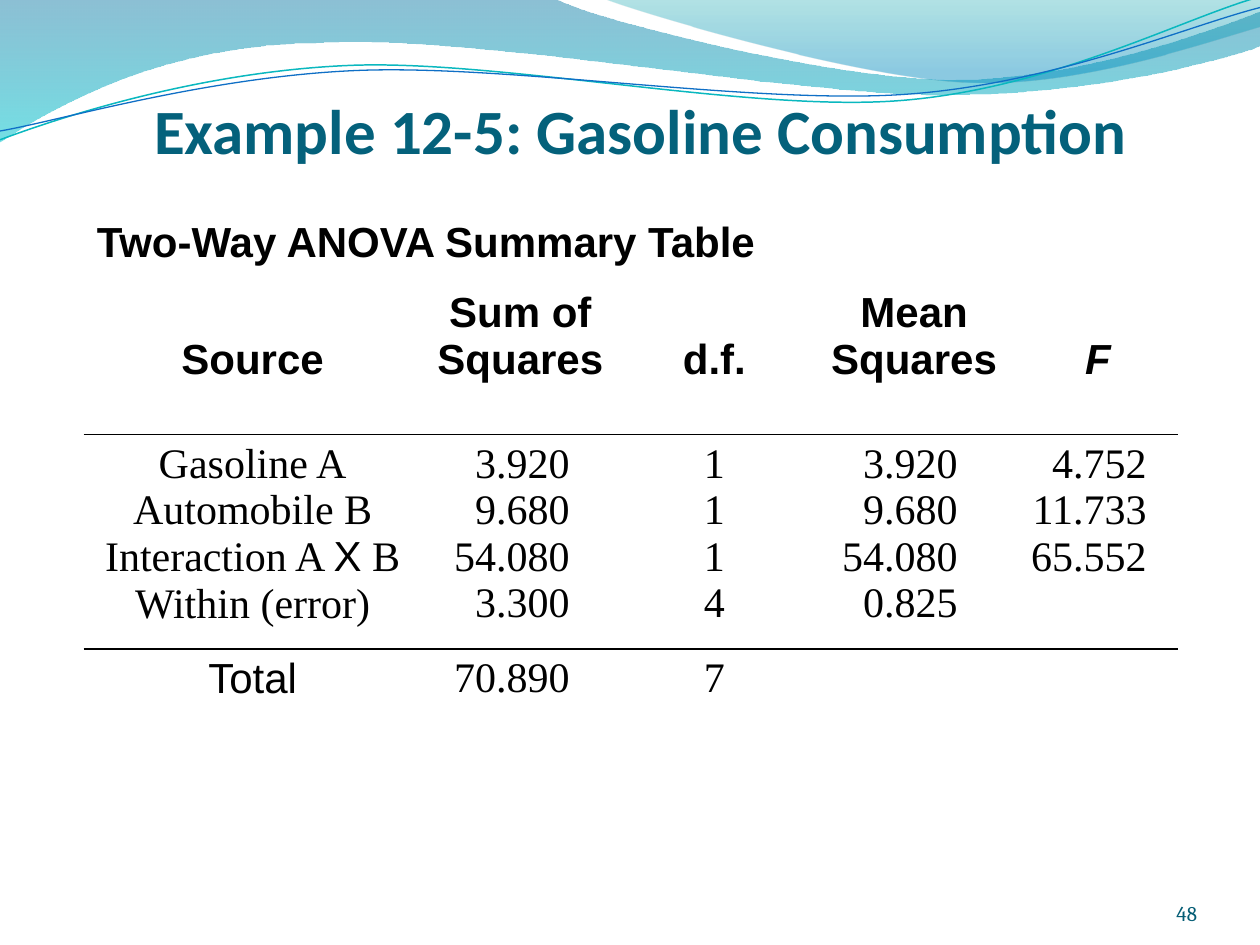
from lxml import etree
from pptx import Presentation
from pptx.dml.color import RGBColor
from pptx.enum import text
from pptx.oxml import ns
from pptx.util import Inches, Pt

BLACK = RGBColor(0, 0, 0)
WHITE = RGBColor(0xFF, 0xFF, 0xFF)
TITLE_TEAL = RGBColor(0x04, 0x61, 0x7B)
NUMBER_TEAL = RGBColor(0x04, 0x5D, 0x75)
LINE_TEAL = RGBColor(0x0A, 0xB8, 0xBF)
LINE_BLUE = RGBColor(0x0F, 0x6F, 0xC6)
DEEP_BLUE = RGBColor(0x00, 0x74, 0xA1)
CYAN = RGBColor(0x00, 0xC6, 0xCF)
SEA_GREEN = RGBColor(0x00, 0xA1, 0xA9)
SKY_BLUE = RGBColor(0x00, 0x8B, 0xBF)

LEFT, CENTER, RIGHT = (text.PP_ALIGN.LEFT, text.PP_ALIGN.CENTER,
                       text.PP_ALIGN.RIGHT)
UNITS_PER_INCH = 100

presentation = Presentation()
presentation.slide_width, presentation.slide_height = Inches(10), Inches(7.5)
slide = presentation.slides.add_slide(presentation.slide_layouts[6])


def add_wave(start, segments, closed):
    """Draw straight (2 numbers) and cubic Bézier (6 numbers) segments."""
    points = [(round(x * UNITS_PER_INCH), round(y * UNITS_PER_INCH))
              for segment in [start, *segments]
              for x, y in zip(segment[::2], segment[1::2])]
    builder = slide.shapes.build_freeform(*points[0],
                                          scale=Inches(1) / UNITS_PER_INCH)
    builder.add_line_segments(points[1:], close=closed)
    wave = builder.convert_to_shape()
    wave.shadow.inherit = False
    # Merge each run of three line steps of a curve into one Bézier step
    steps = iter(list(wave._element.iter(ns.qn("a:lnTo"))))
    for segment in segments:
        step = next(steps)
        if len(segment) == 6:
            step.tag = ns.qn("a:cubicBezTo")
            for extra in (next(steps), next(steps)):
                step.append(extra[0])
                extra.getparent().remove(extra)
    return wave


def write_paragraph(paragraph, runs, alignment, size, color, bold=False, italic=False):
    """Fill a paragraph with (text, font name) runs."""
    paragraph.alignment = alignment
    for words, font_name in runs:
        run = paragraph.add_run()
        run.text = words
        run.font.color.rgb = color
        formats = {"name": font_name, "size": Pt(size), "bold": bold, "italic": italic}
        for name, value in formats.items():
            setattr(run.font, name, value)


# Filled waves: start, segments, gradient stops (position, colour, opacity %)
bands = [
    ((0, -0.01),
     [(4.4, -0.01), (4.76, 0.17, 6.64, 0.63, 7.58, 0.63),
      (8.53, 0.63, 9.58, 0.26, 10, 0.09), (10.01, 0.36),
      (9.83, 0.44, 8.7, 0.76, 7.46, 0.75), (6.22, 0.75, 3.82, 0.28, 2.57, 0.34),
      (1.29, 0.35, 0.46, 0.83, -0.01, 1.13)],
     [(0, DEEP_BLUE, 45), (1, CYAN, 55)]),
    ((4.79, -0.01),
     [(5.09, 0.11, 6.82, 0.62, 7.69, 0.65), (8.56, 0.69, 9.61, 0.32, 10, 0.21),
      (10, 0)],
     [(0, SEA_GREEN, 30), (0.8, SKY_BLUE, 45)]),
]
for start, segments, stops in bands:
    band = add_wave(start, segments, True)
    band.line.fill.background()
    band.fill.gradient()
    band.fill.gradient_angle = 270
    for stop, (position, color, _) in zip(band.fill.gradient_stops, stops):
        stop.position = position
        stop.color.rgb = color
    colors = list(band._element.iter(ns.qn("a:srgbClr")))
    for element, (_, _, opacity) in zip(colors, stops):
        etree.SubElement(element, ns.qn("a:alpha"), val=str(opacity * 1000))

# Thin wave lines
strands = [
    ((0, 1.11),
     [(0.48, 0.93, 1.58, 0.57, 2.77, 0.52), (3.95, 0.47, 5.93, 0.89, 7.13, 0.8),
      (8.33, 0.71, 9.38, 0.15, 9.98, -0.02)], LINE_TEAL, 0.85),
    ((0, 1.04),
     [(0.47, 0.96, 1.64, 0.61, 2.83, 0.56), (4.03, 0.51, 5.97, 0.83, 7.17, 0.75),
      (8.36, 0.67, 9.41, 0.21, 10, 0.06)], LINE_BLUE, 0.75),
]
for start, segments, color, width in strands:
    strand = add_wave(start, segments, False)
    strand.fill.background()
    strand.line.color.rgb = color
    strand.line.width = Pt(width)

# Title, slide number and table heading
TOP, BOTTOM = text.MSO_ANCHOR.TOP, text.MSO_ANCHOR.BOTTOM
labels = [
    ("Example 12-5: Gasoline Consumption", (0.5, 0.58, 9.17, 0.75),
     (0, 0.05, 0, 0), BOTTOM, CENTER, "Calibri", 36, TITLE_TEAL, True),
    ("48", (8.67, 6.95, 0.83, 0.4),
     (0, 0, 0, 0), BOTTOM, RIGHT, "Cambria", 12, NUMBER_TEAL, False),
    ("Two-Way ANOVA Summary Table", (0.67, 1.66, 8.75, 0.51),
     (0.1, 0.05, 0.1, 0.05), TOP, LEFT, "Arial", 24, BLACK, True),
]
for words, box, insets, anchor, alignment, font_name, size, color, bold in labels:
    frame = slide.shapes.add_textbox(*map(Inches, box)).text_frame
    frame.word_wrap = True
    frame.vertical_anchor = anchor
    for side, inset in zip(("left", "top", "right", "bottom"), insets):
        setattr(frame, f"margin_{side}", Inches(inset))
    write_paragraph(frame.paragraphs[0], [(words, font_name)], alignment,
                    size, color, bold)

# ANOVA table: each cell is a list of lines
SERIF = "Times New Roman"
rows = [
    [["Source"], ["Sum of Squares"], ["d.f."], ["Mean", "Squares"], ["F"]],
    [["Gasoline A", "Automobile B", "Interaction A X B", "Within (error)"],
     ["3.920", "9.680", "54.080", "3.300"],
     ["1", "1", "1", "4"],
     ["3.920", "9.680", "54.080", "0.825"],
     ["4.752", "11.733", "65.552"]],
    [["Total"], ["70.890"], ["7"], [], []],
]
column_widths = [2.67, 1.58, 1.5, 1.67, 1.25]
row_heights = [1.2, 1.7, 0.69]
number_margins = {1: 0.4, 3: 0.49, 4: 0.24}
LINE_HEIGHT = 0.37

table = slide.shapes.add_table(3, 5, Inches(0.67), Inches(2.25),
                               Inches(8.67), Inches(3.59)).table
table.first_row = table.horz_banding = False
for column, width in zip(table.columns, column_widths):
    column.width = Inches(width)
for row, height in zip(table.rows, row_heights):
    row.height = Inches(height)

for row_index, row in enumerate(rows):
    is_header = row_index == 0
    for column_index, lines in enumerate(row):
        cell = table.cell(row_index, column_index)
        is_number = not is_header and column_index in number_margins
        if is_number:
            cell.margin_left = 0
            cell.margin_right = Inches(number_margins[column_index])
        if is_header and column_index not in (1, 3):
            cell.margin_top = Inches(0.05 + LINE_HEIGHT)
        for line_index, line in enumerate(lines):
            frame = cell.text_frame
            paragraph = frame.add_paragraph() if line_index else frame.paragraphs[0]
            font_name = "Arial" if is_header or line == "Total" else SERIF
            before, cross, after = line.partition("X")
            runs = [(before, font_name)]
            if cross:
                runs += [(cross, "Arial"), (after, font_name)]
            write_paragraph(paragraph, runs, RIGHT if is_number else CENTER, 24,
                            BLACK, is_header, line == "F")

        properties = cell._tc.get_or_add_tcPr()
        borders = {"lnL": WHITE, "lnR": WHITE,
                   "lnT": WHITE if is_header else BLACK,
                   "lnB": WHITE if row_index == 2 else BLACK}
        for tag, color in borders.items():
            border = etree.SubElement(properties, ns.qn(f"a:{tag}"), w=str(Pt(1)))
            solid = etree.SubElement(border, ns.qn("a:solidFill"))
            etree.SubElement(solid, ns.qn("a:srgbClr"), val=str(color))
        cell.fill.solid()
        cell.fill.fore_color.rgb = WHITE

presentation.save("out.pptx")
